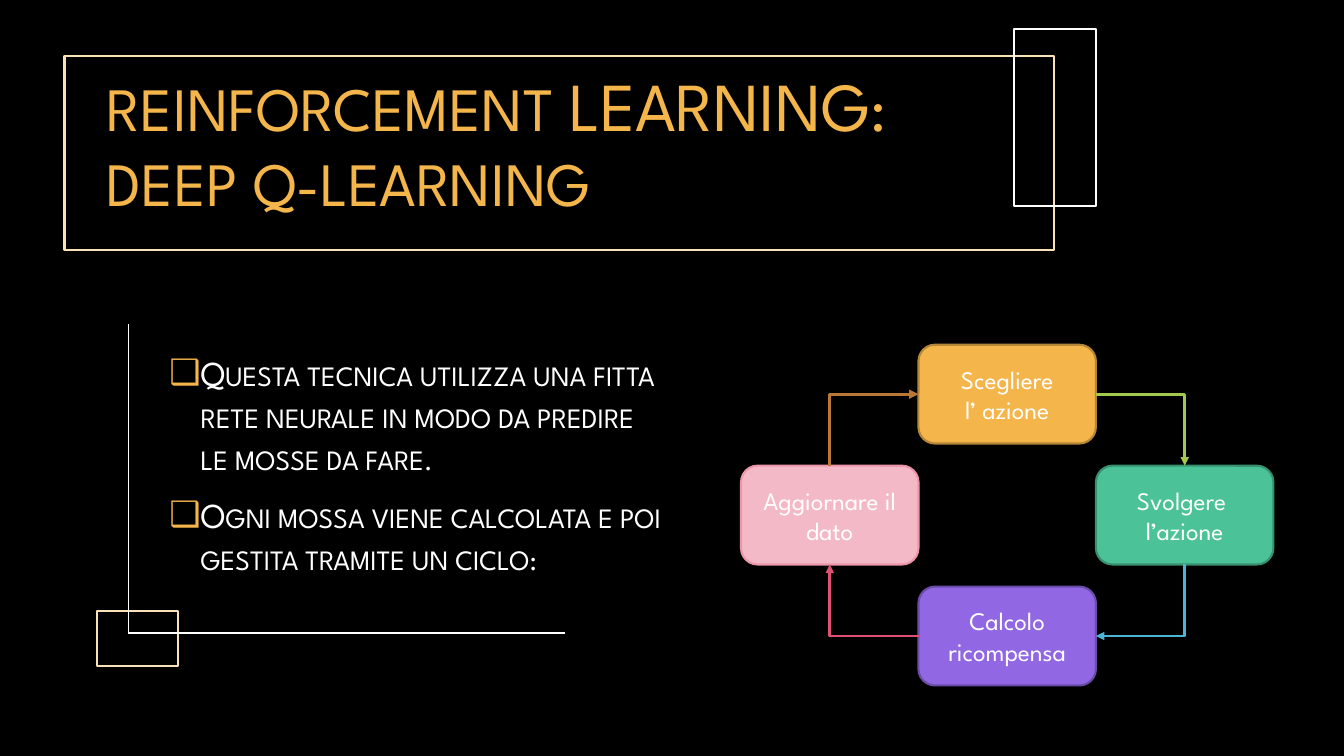
from lxml import etree
from pptx import Presentation
from pptx.dml.color import RGBColor
from pptx.enum.shapes import MSO_CONNECTOR as Link, MSO_SHAPE as Shape
from pptx.enum.text import MSO_ANCHOR as Anchor, MSO_AUTO_SIZE as AutoSize, PP_ALIGN as Align
from pptx.oxml.ns import qn
from pptx.util import Inches, Pt

FONT = "League Spartan"
BLACK = RGBColor(0x00, 0x00, 0x00)
WHITE = RGBColor(0xFF, 0xFF, 0xFF)
ORANGE = RGBColor(0xF4, 0xB5, 0x4B)
CREAM = RGBColor(0xFB, 0xE1, 0xB7)
BROWN = RGBColor(0xB5, 0x86, 0x37)
GREEN = RGBColor(0x4B, 0xC2, 0x98)
DARK_GREEN = RGBColor(0x37, 0x90, 0x70)
PURPLE = RGBColor(0x91, 0x67, 0xE3)
DARK_PURPLE = RGBColor(0x6B, 0x4C, 0xA8)
PINK = RGBColor(0xF3, 0xB9, 0xC7)
DARK_PINK = RGBColor(0xEC, 0x96, 0xAB)
LIME = RGBColor(0xA2, 0xC8, 0x4E)
SKY = RGBColor(0x4C, 0xB5, 0xD3)
RED = RGBColor(0xE0, 0x50, 0x73)
COPPER = RGBColor(0xB9, 0x77, 0x35)


def style_font(paragraph, size, color):
    paragraph.font.name = FONT
    paragraph.font.size = Pt(size)
    paragraph.font.color.rgb = color


def style_line(connector, color, width):
    connector.line.color.rgb = color
    connector.line.width = Pt(width)
    etree.SubElement(connector._element.spPr, qn("a:effectLst"))


deck = Presentation()
deck.slide_width, deck.slide_height = Inches(13.33), Inches(7.5)
page = deck.slides.add_slide(deck.slide_layouts[1])
page.background.fill.solid()
page.background.fill.fore_color.rgb = BLACK

# Title
title = page.shapes.title
title.left, title.top, title.width, title.height = map(Inches, (0.96, 0.36, 11.59, 2.08))
title.text_frame.vertical_anchor = Anchor.MIDDLE
title.text_frame.auto_size = AutoSize.NONE
para = title.text_frame.paragraphs[0]
para.alignment = Align.LEFT
para.line_spacing = 1.0
style_font(para, 44, ORANGE)
para.add_run().text = "REINFORCEMENT "
span = para.add_run()
span.text = "LEARNING"
span.font.size = Pt(49)
para.add_run().text = ":"
para.add_line_break()
para.add_run().text = "DEEP Q-LEARNING"

# Bulleted list
body = page.placeholders[1]
body.left, body.top, body.width, body.height = map(Inches, (1.58, 3.44, 5.13, 3.36))
body.text_frame.auto_size = AutoSize.NONE
body.text_frame.text = (
    "Questa tecnica utilizza una fitta rete neurale in modo da predire le mosse da fare.\n"
    "Ogni mossa viene calcolata e poi gestita tramite un ciclo:"
)
for para in body.text_frame.paragraphs:
    para.line_spacing = 1.0
    para.space_before, para.space_after = Pt(5), Pt(6)
    props = para._p.get_or_add_pPr()
    props.set("marL", str(Inches(0.31)))
    props.set("indent", str(-Inches(0.31)))
    bullet_color = etree.SubElement(props, qn("a:buClr"))
    etree.SubElement(bullet_color, qn("a:srgbClr"), val=str(ORANGE))
    etree.SubElement(props, qn("a:buChar"), char="❑")
    style_font(para, 25, WHITE)
    para.runs[0]._r.get_or_add_rPr().set("cap", "small")

# Cycle steps, clockwise from the top: column, row, text, fill, border
steps = [
    (1, 0, "Scegliere\nl’ azione", ORANGE, BROWN),
    (2, 1, "Svolgere \nl’azione", GREEN, DARK_GREEN),
    (1, 2, "Calcolo ricompensa", PURPLE, DARK_PURPLE),
    (0, 1, "Aggiornare il dato", PINK, DARK_PINK),
]
boxes = []
for column, row, text, fill, border in steps:
    box = page.shapes.add_shape(
        Shape.ROUNDED_RECTANGLE, Inches(7.35 + 1.76 * column),
        Inches(3.42 + 1.2 * row), Inches(1.76), Inches(0.98))
    box.shadow.inherit = False
    box.fill.solid()
    box.fill.fore_color.rgb = fill
    box.line.color.rgb = border
    box.line.width = Pt(1.5)
    box.text_frame.word_wrap = True
    box.text_frame.vertical_anchor = Anchor.MIDDLE
    box.text_frame.text = text
    for para in box.text_frame.paragraphs:
        para.alignment = Align.CENTER
        style_font(para, 18, WHITE)
    boxes.append(box)

# Cycle arrows: the same elbow, turned a further 90 degrees at each step
arrows = [(LIME, 2), (SKY, 2), (RED, 2), (COPPER, 2.25)]
for turn, (color, width) in enumerate(arrows):
    target = (turn + 1) % 4
    arrow = page.shapes.add_connector(Link.ELBOW, 0, 0, 0, 0)
    arrow.begin_connect(boxes[turn], 3 - turn)
    arrow.end_connect(boxes[target], (1 - target) % 4)
    if turn % 2:
        shift = (arrow.width - arrow.height) // 2
        arrow.left, arrow.top = arrow.left + shift, arrow.top - shift
        arrow.width, arrow.height = arrow.height, arrow.width
    frame = arrow._element.spPr.find(qn("a:xfrm"))
    for flip in ("flipH", "flipV"):
        frame.attrib.pop(flip, None)
    frame.set("rot", str(turn * 90 * 60000))
    arrow._element.spPr.find(qn("a:prstGeom")).set("prst", "bentConnector2")
    style_line(arrow, color, width)
    etree.SubElement(arrow.line._get_or_add_ln(), qn("a:tailEnd"), type="triangle")

# Outline frames
for left, top, width, height, color in [
    (0.64, 0.56, 9.81, 1.92, CREAM),
    (10.06, 0.29, 0.81, 1.75, WHITE),
    (0.96, 6.06, 0.81, 0.55, CREAM),
]:
    outline = page.shapes.add_shape(
        Shape.RECTANGLE, Inches(left), Inches(top), Inches(width), Inches(height))
    outline.shadow.inherit = False
    outline.fill.background()
    outline.line.color.rgb = color
    outline.line.width = Pt(1.5)

# Rules beside and below the list
for end_x, end_y in [(1.27, 3.21), (5.6, 6.28)]:
    rule = page.shapes.add_connector(
        Link.STRAIGHT, Inches(1.27), Inches(6.28), Inches(end_x), Inches(end_y))
    style_line(rule, WHITE, 0.75)

deck.save("out.pptx")
